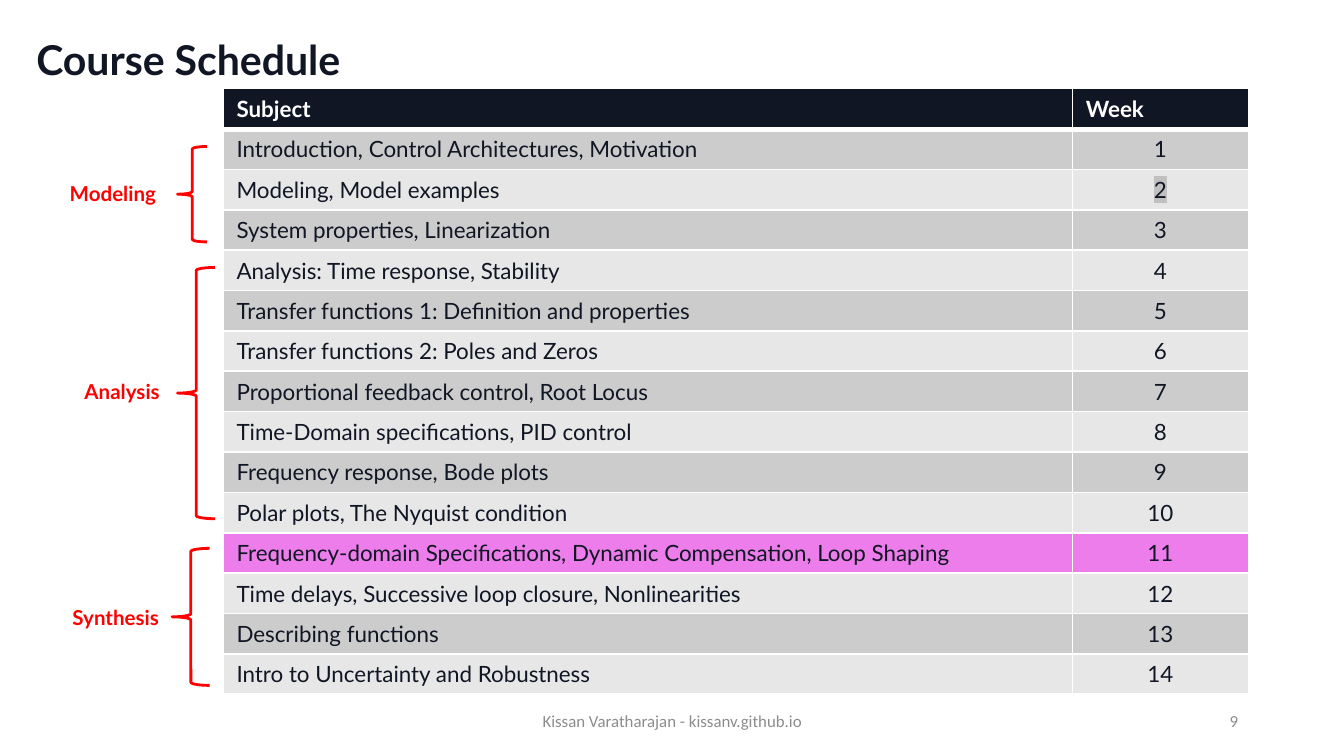
from dataclasses import dataclass

from lxml import etree
from pptx import Presentation
from pptx.dml.color import RGBColor
from pptx.enum.shapes import MSO_SHAPE
from pptx.enum.text import MSO_ANCHOR, PP_ALIGN
from pptx.oxml.ns import qn
from pptx.util import Inches, Pt

LEFT_BRACE = MSO_SHAPE.LEFT_BRACE
MIDDLE = MSO_ANCHOR.MIDDLE
LEFT, CENTER, RIGHT = PP_ALIGN.LEFT, PP_ALIGN.CENTER, PP_ALIGN.RIGHT
TITLE_ONLY = 5


@dataclass(frozen=True)
class Theme:
    font: str = "Lato"
    footer_font: str = "Calibri"
    navy: str = "101623"
    white: str = "FFFFFF"
    dark_band: str = "CCCCCC"
    light_band: str = "E7E7E8"
    current: str = "ED7DEA"
    marker: str = "C0C0C0"
    red: str = "FF0000"
    gray: str = "8C8C8D"
    title_size: int = 22
    table_size: int = 12
    label_size: int = 11
    footer_size: int = 9


THEME = Theme()

SUBJECTS = [
    "Introduction, Control Architectures, Motivation",
    "Modeling, Model examples",
    "System properties, Linearization",
    "Analysis: Time response, Stability",
    "Transfer functions 1: Definition and properties",
    "Transfer functions 2: Poles and Zeros",
    "Proportional feedback control, Root Locus",
    "Time-Domain specifications, PID control",
    "Frequency response, Bode plots",
    "Polar plots, The Nyquist condition",
    "Frequency-domain Specifications, Dynamic Compensation, Loop Shaping",
    "Time delays, Successive loop closure, Nonlinearities",
    "Describing functions",
    "Intro to Uncertainty and Robustness",
]
CURRENT_WEEK = 11
MARKED_WEEK = 2

PHASES = [
    ("Modeling", (0.42, 1.3, 0.9, 0.29), (1.32, 1.09, 0.22, 0.71)),
    ("Analysis", (0.53, 2.77, 0.79, 0.29), (1.32, 1.99, 0.28, 1.87)),
    ("Synthesis", (0.44, 4.45, 0.88, 0.29), (1.28, 4.08, 0.28, 1.02)),
]


def inches(box):
    return [Inches(length) for length in box]


def write(frame, text, size, color, bold=False, align=LEFT, font=THEME.font):
    frame.text = text
    paragraph = frame.paragraphs[0]
    paragraph.alignment = align
    run = paragraph.runs[0]
    run.font.size = Pt(size)
    run.font.bold = bold
    run.font.name = font
    run.font.color.rgb = RGBColor.from_string(color)
    return run


def add_title(slide, text):
    title = slide.shapes.title
    title.left, title.top, title.width, title.height = inches((0.17, -0.08, 8.62, 1.09))
    title.text_frame.vertical_anchor = MIDDLE
    write(title.text_frame, text, THEME.title_size, THEME.navy, bold=True)
    title.text_frame.paragraphs[0].line_spacing = 0.9


def add_border(cell, side, points):
    line = etree.SubElement(cell._tc.get_or_add_tcPr(), qn(f"a:ln{side}"), w=str(Pt(points)))
    fill = etree.SubElement(line, qn("a:solidFill"))
    etree.SubElement(fill, qn("a:srgbClr"), val=THEME.white)


def fill_cell(cell, text, fill, color, header=False, first_week=False, align=LEFT):
    add_border(cell, "L", 1)
    add_border(cell, "R", 1)
    add_border(cell, "T", 3 if first_week else 1)
    add_border(cell, "B", 3 if header else 1)
    cell.fill.solid()
    cell.fill.fore_color.rgb = RGBColor.from_string(fill)
    return write(cell.text_frame, text, THEME.table_size, color, header, align)


def highlight(run, color):
    marker = etree.Element(qn("a:highlight"))
    etree.SubElement(marker, qn("a:srgbClr"), val=color)
    run.font._element.find(qn("a:solidFill")).addnext(marker)


def band_color(week):
    if week == CURRENT_WEEK:
        return THEME.current
    return THEME.dark_band if week % 2 else THEME.light_band


def add_schedule(slide):
    schedule = slide.shapes.add_table(
        len(SUBJECTS) + 1, 2, *inches((1.66, 0.66, 7.63, 4.5))
    ).table
    schedule.columns[0].width = Inches(6.32)
    schedule.columns[1].width = Inches(1.31)
    for column, heading in enumerate(("Subject", "Week")):
        fill_cell(schedule.cell(0, column), heading, THEME.navy, THEME.white, header=True)
    for week, subject in enumerate(SUBJECTS, start=1):
        band = band_color(week)
        first = week == 1
        fill_cell(schedule.cell(week, 0), subject, band, THEME.navy, first_week=first)
        number = fill_cell(schedule.cell(week, 1), str(week), band, THEME.navy,
                           first_week=first, align=CENTER)
        if week == MARKED_WEEK:
            highlight(number, THEME.marker)


def add_phase(slide, name, label_box, brace_box):
    label = slide.shapes.add_textbox(*inches(label_box)).text_frame
    label.word_wrap = False
    write(label, name, THEME.label_size, THEME.red, bold=True)
    brace = slide.shapes.add_shape(LEFT_BRACE, *inches(brace_box))
    brace.shadow.inherit = False
    brace.fill.background()
    brace.line.color.rgb = RGBColor.from_string(THEME.red)
    brace.line.width = Pt(1.5)


def add_footer(slide, text, box, align):
    footer = slide.shapes.add_textbox(*inches(box)).text_frame
    footer.word_wrap = True
    footer.vertical_anchor = MIDDLE
    write(footer, text, THEME.footer_size, THEME.gray, align=align, font=THEME.footer_font)


def main():
    deck = Presentation()
    deck.slide_width = Inches(10)
    deck.slide_height = Inches(10) * 9 // 16
    slide = deck.slides.add_slide(deck.slide_layouts[TITLE_ONLY])
    add_title(slide, "Course Schedule")
    add_schedule(slide)
    for phase in PHASES:
        add_phase(slide, *phase)
    add_footer(slide, "Kissan Varatharajan - kissanv.github.io", (3.31, 5.21, 3.38, 0.3), CENTER)
    add_footer(slide, "9", (7.06, 5.21, 2.25, 0.3), RIGHT)
    deck.save("out.pptx")


if __name__ == "__main__":
    main()
